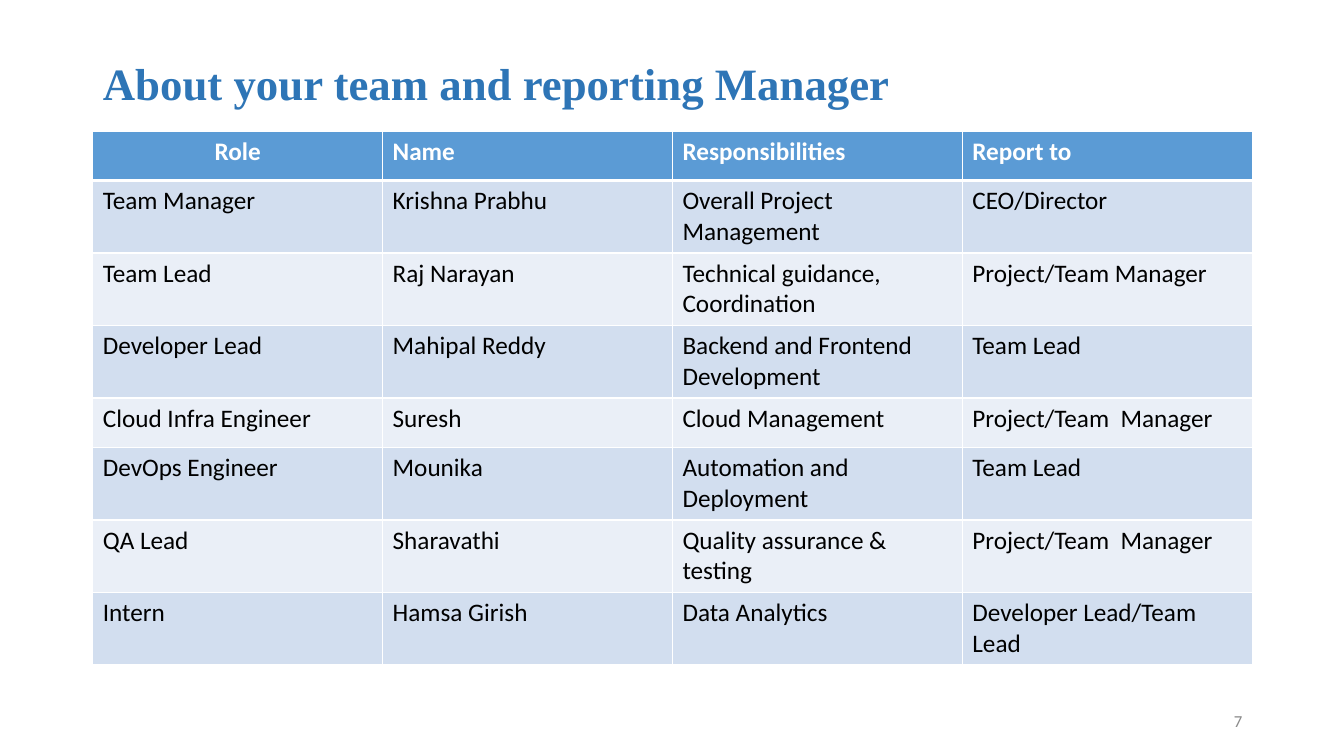
from typing import NamedTuple

from lxml.etree import SubElement
from pptx import Presentation
from pptx.dml.color import RGBColor
from pptx.enum.text import MSO_ANCHOR, PP_ALIGN
from pptx.oxml.ns import qn
from pptx.slide import Slide
from pptx.table import _Cell
from pptx.text.text import TextFrame
from pptx.util import Inches, Pt

TITLE_BLUE = RGBColor(0x2E, 0x75, 0xB6)
HEADER_BLUE = RGBColor(0x5B, 0x9B, 0xD5)
BAND_DARK = RGBColor(0xD2, 0xDE, 0xEF)
BAND_LIGHT = RGBColor(0xEA, 0xEF, 0xF7)
WHITE = RGBColor(0xFF, 0xFF, 0xFF)
BLACK = RGBColor(0x00, 0x00, 0x00)
GRAY = RGBColor(0x89, 0x89, 0x89)

LEFT, WIDTH = 0.92, 11.5
TABLE_TOP = 1.3
ONE_LINE, TWO_LINES = 0.49, 0.72


class Member(NamedTuple):
    role: str
    name: str
    duties: str
    report_to: str
    height: float = TWO_LINES


HEADER = Member("Role", "Name", "Responsibilities", "Report to", ONE_LINE)
TEAM = [
    Member("Team Manager", "Krishna Prabhu", "Overall Project Management", "CEO/Director"),
    Member("Team Lead", "Raj Narayan", "Technical guidance, Coordination", "Project/Team Manager"),
    Member("Developer Lead", "Mahipal Reddy", "Backend and Frontend Development", "Team Lead"),
    Member("Cloud Infra Engineer", "Suresh", "Cloud Management", "Project/Team  Manager", ONE_LINE),
    Member("DevOps Engineer", "Mounika", "Automation and Deployment", "Team Lead"),
    Member("QA Lead", "Sharavathi", "Quality assurance & testing", "Project/Team  Manager"),
    Member("Intern", "Hamsa Girish", "Data Analytics", "Developer Lead/Team Lead"),
]


def set_text(tf: TextFrame, text: str, size: float, color: RGBColor,
             font: str = "Calibri", bold: bool = False,
             align: PP_ALIGN = PP_ALIGN.LEFT) -> None:
    tf.text = text
    p = tf.paragraphs[0]
    p.alignment = align
    r = p.runs[0]
    r.font.name = font
    r.font.size = Pt(size)
    r.font.bold = bold
    r.font.color.rgb = color


def set_borders(cell: _Cell, top: float, bottom: float) -> None:
    tc_pr = cell._tc.get_or_add_tcPr()
    for tag, width in (("lnL", 1), ("lnR", 1), ("lnT", top), ("lnB", bottom)):
        ln = SubElement(tc_pr, qn(f"a:{tag}"), w=str(Pt(width)))
        fill = SubElement(ln, qn("a:solidFill"))
        SubElement(fill, qn("a:srgbClr"), val=str(WHITE))


def add_title(s: Slide, text: str) -> None:
    sp = s.shapes.title
    sp.left, sp.top = Inches(LEFT), Inches(0.4)
    sp.width, sp.height = Inches(WIDTH), Inches(0.9)
    tf = sp.text_frame
    set_text(tf, text, 32, TITLE_BLUE, "Times New Roman", True)
    tf.vertical_anchor = MSO_ANCHOR.MIDDLE
    tf.paragraphs[0].line_spacing = 0.9


def add_team_table(s: Slide, rows: list[Member]) -> None:
    col_count = len(HEADER) - 1
    height = sum(row.height for row in rows)
    table = s.shapes.add_table(len(rows), col_count, Inches(LEFT), Inches(TABLE_TOP),
                               Inches(WIDTH), Inches(height)).table
    for i, row in enumerate(rows):
        table.rows[i].height = Inches(row.height)
        is_header = i == 0
        band = HEADER_BLUE if is_header else BAND_DARK if i % 2 else BAND_LIGHT
        for j, text in enumerate(row[:col_count]):
            cell = table.cell(i, j)
            align = PP_ALIGN.CENTER if is_header and j == 0 else PP_ALIGN.LEFT
            set_text(cell.text_frame, text, 18, WHITE if is_header else BLACK,
                     bold=is_header, align=align)
            set_borders(cell, 3 if i == 1 else 1, 3 if is_header else 1)
            cell.fill.solid()
            cell.fill.fore_color.rgb = band


def add_slide_number(s: Slide, number: int) -> None:
    sp = s.shapes.add_textbox(Inches(9.42), Inches(6.95), Inches(3), Inches(0.4))
    tf = sp.text_frame
    tf.word_wrap = True
    tf.vertical_anchor = MSO_ANCHOR.MIDDLE
    set_text(tf, str(number), 12, GRAY, align=PP_ALIGN.RIGHT)


def main() -> None:
    prs = Presentation()
    prs.slide_width, prs.slide_height = Inches(13.33), Inches(7.5)
    s = prs.slides.add_slide(prs.slide_layouts[5])
    add_title(s, "About your team and reporting Manager")
    add_team_table(s, [HEADER, *TEAM])
    add_slide_number(s, 7)
    prs.save("out.pptx")


if __name__ == "__main__":
    main()
